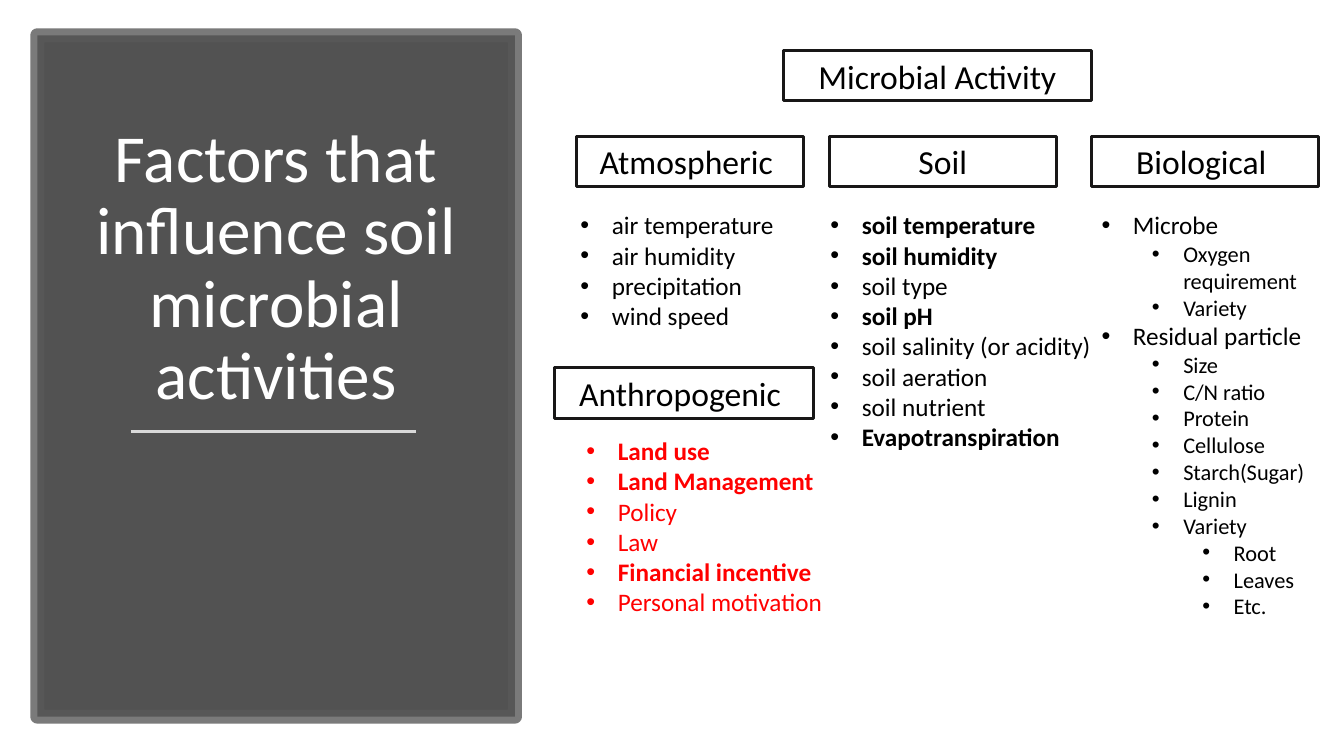
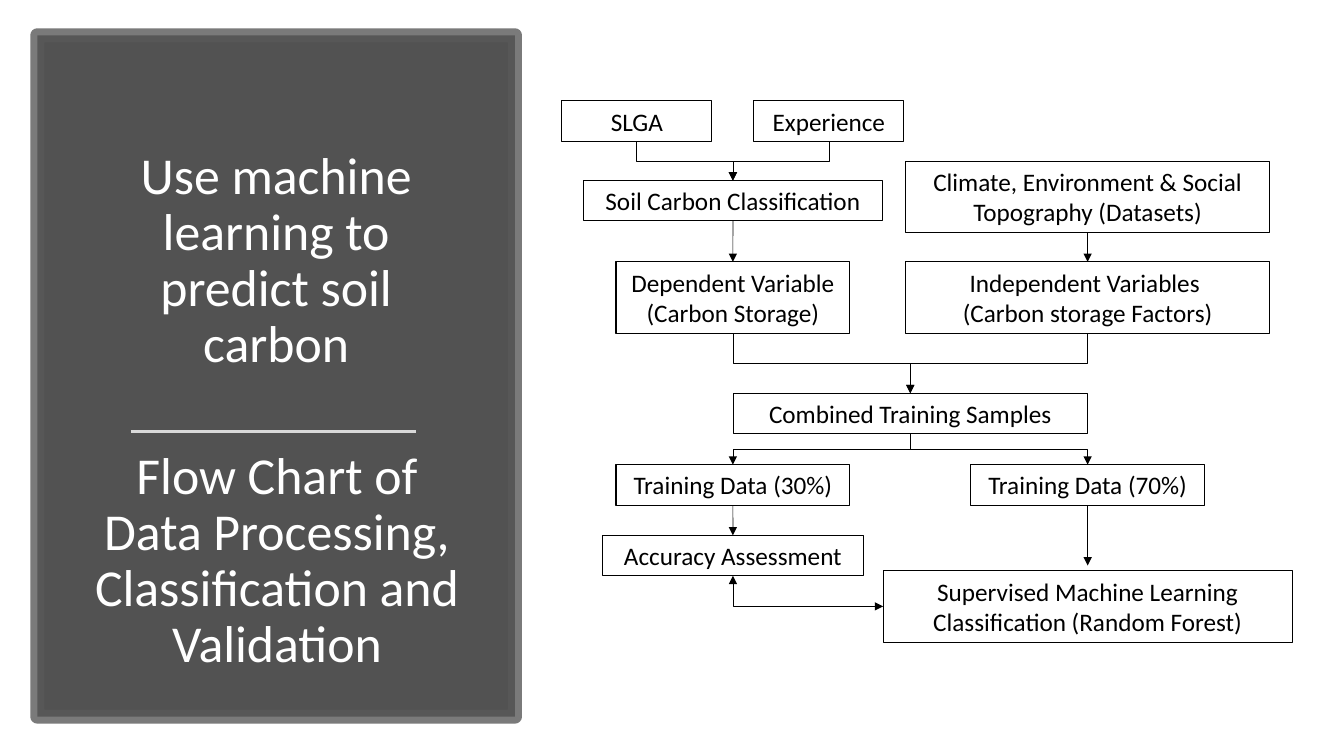
from dataclasses import dataclass

from lxml import etree
from pptx import Presentation
from pptx import util as u
from pptx.dml.color import RGBColor
from pptx.enum import shapes, text
from pptx.oxml import ns

FONT = "Calibri"
COLOURS = {
    "panel": "404040",
    "panel_edge": "595959",
    "rule": "D9D9D9",
    "title": "FFFFFF",
    "heading_edge": "181717",
    "ink": "000000",
    "accent": "FF0000",
}
TOP, LEFT, BOTTOM = 0, 1, 2

# Slide 1 measures, in cm
HEADING_HEIGHT = 1.27
LIST_TOP = 5.16
BULLET_INDENT, LEVEL_STEP = 0.79, 1.27

# Slide 2 measures, in cm
LEFT_COLUMN, RIGHT_COLUMN = 18.47, 27.41
MIDDLE_COLUMN = (LEFT_COLUMN + RIGHT_COLUMN) / 2
SOURCE_OFFSET = 2.42
LINE_HEIGHTS = {1: 1.02, 2: 1.8}


@dataclass(frozen=True)
class Title:
    words: str
    left: float
    top: float
    height: float
    size: int


@dataclass(frozen=True)
class Heading:
    words: str
    left: float
    top: float
    width: float


@dataclass(frozen=True)
class Item:
    words: str
    bold: bool = False
    level: int = 0


@dataclass(frozen=True)
class BulletList:
    left: float
    top: float
    width: float
    height: float
    items: tuple[Item, ...]
    colour: str = "ink"


@dataclass(frozen=True)
class Step:
    name: str
    paragraphs: tuple[str, ...]
    centre: float
    top: float
    width: float
    lines: int = 1


@dataclass(frozen=True)
class Link:
    start: str
    end: str
    preset: str = ""  # empty for a straight arrow
    end_side: int = TOP
    both_heads: bool = False
    gap: float = 0


HEADINGS = (
    Heading("Microbial Activity", 19.74, 1.27, 7.77),
    Heading("Atmospheric ", 14.53, 3.43, 5.72),
    Heading("Soil", 20.9, 3.43, 5.72),
    Heading("Biological ", 27.51, 3.43, 5.72),
    Heading("Anthropogenic ", 13.97, 9.27, 6.53),
)

LISTS = (
    BulletList(20.68, LIST_TOP, 7.19, 7.95, (
        Item("soil temperature", True),
        Item("soil humidity", True),
        Item("soil type"),
        Item("soil pH", True),
        Item("soil salinity (or acidity)"),
        Item("soil aeration"),
        Item("soil nutrient"),
        Item("Evapotranspiration", True),
    )),
    BulletList(14.38, LIST_TOP, 5.72, 4.88, (
        Item("air temperature"),
        Item("air humidity"),
        Item("precipitation"),
        Item("wind speed"),
    )),
    BulletList(27.51, LIST_TOP, 6.2, 12.22, (
        Item("Microbe"),
        Item("Oxygen requirement", level=1),
        Item("Variety", level=1),
        Item("Residual particle"),
        Item("Size", level=1),
        Item("C/N ratio", level=1),
        Item("Protein", level=1),
        Item("Cellulose", level=1),
        Item("Starch(Sugar)", level=1),
        Item("Lignin", level=1),
        Item("Variety", level=1),
        Item("Root", level=2),
        Item("Leaves", level=2),
        Item("Etc.", level=2),
    )),
    BulletList(14.53, 10.85, 6.53, 5.64, (
        Item("Land use", True),
        Item("Land Management", True),
        Item("Policy"),
        Item("Law"),
        Item("Financial incentive", True),
        Item("Personal motivation"),
    ), "accent"),
)

STEPS = (
    Step("slga", ("SLGA",), LEFT_COLUMN - SOURCE_OFFSET, 2.54, 3.78),
    Step("experience", ("Experience",), LEFT_COLUMN + SOURCE_OFFSET, 2.54, 3.78),
    Step("classes", ("Soil Carbon Classification",), LEFT_COLUMN, 4.55, 7.52),
    Step("dependent", ("Dependent Variable (Carbon Storage)",), LEFT_COLUMN, 6.6, 5.89, 2),
    Step("independent", ("Independent Variables ", "(Carbon storage Factors)"),
         RIGHT_COLUMN, 6.6, 9.19, 2),
    Step("datasets", ("Climate, Environment & Social Topography (Datasets)",),
         RIGHT_COLUMN, 4.06, 9.19, 2),
    Step("combined", ("Combined Training Samples",), MIDDLE_COLUMN, 9.91, 8.92),
    Step("data_30", ("Training Data (30%)",), LEFT_COLUMN, 11.71, 5.89),
    Step("data_70", ("Training Data (70%)",), RIGHT_COLUMN, 11.71, 5.89),
    Step("accuracy", ("Accuracy Assessment",), LEFT_COLUMN, 13.49, 6.58),
    Step("forest", ("Supervised Machine Learning Classification (Random Forest)",),
         RIGHT_COLUMN, 14.38, 10.31, 2),
)

FORK = "bentConnector3"
CORNER = "bentConnector2"
LINKS = (
    Link("slga", "classes", FORK),
    Link("experience", "classes", FORK),
    Link("classes", "dependent"),
    Link("datasets", "independent"),
    Link("dependent", "combined", FORK),
    Link("independent", "combined", FORK),
    Link("combined", "data_30", FORK),
    Link("combined", "data_70", FORK),
    Link("data_30", "accuracy"),
    Link("data_70", "forest", gap=0.13),
    Link("accuracy", "forest", CORNER, LEFT, both_heads=True),
)


def rgb(name: str) -> RGBColor:
    return RGBColor.from_string(COLOURS[name])


def add_span(para, words: str, size: int, colour: str, bold: bool = False) -> None:
    span = para.add_run()
    span.text = words
    span.font.name = FONT
    span.font.size = u.Pt(size)
    span.font.bold = bold
    span.font.color.rgb = rgb(colour)


def next_para(frame, index: int):
    return frame.add_paragraph() if index else frame.paragraphs[0]


def set_opacity(fill_parent, percent: int) -> None:
    colour = fill_parent.find(f"{ns.qn('a:solidFill')}/{ns.qn('a:srgbClr')}")
    etree.SubElement(colour, ns.qn("a:alpha"), val=str(percent * 1000))


def add_rectangle(page, left: float, top: float, width: float, height: float,
                  edge: str, weight: float):
    box = page.shapes.add_shape(shapes.MSO_SHAPE.RECTANGLE, u.Cm(left), u.Cm(top),
                                u.Cm(width), u.Cm(height))
    box.shadow.inherit = False
    box.fill.background()
    box.line.color.rgb = rgb(edge)
    box.line.width = u.Pt(weight)
    return box


def add_label(box, paragraphs: tuple[str, ...], size: int) -> None:
    box.text_frame.word_wrap = True
    for index, words in enumerate(paragraphs):
        para = next_para(box.text_frame, index)
        para.alignment = text.PP_ALIGN.CENTER
        add_span(para, words, size, "ink")


def style_connector(line, colour: str, weight: float) -> None:
    line.line.color.rgb = rgb(colour)
    line.line.width = u.Pt(weight)
    etree.SubElement(line._element.spPr, ns.qn("a:effectLst"))


def add_title(page, title: Title) -> None:
    box = page.shapes.add_textbox(u.Cm(title.left), u.Cm(title.top),
                                  u.Cm(10.16), u.Cm(title.height))
    box.text_frame.word_wrap = True
    box.text_frame.vertical_anchor = text.MSO_ANCHOR.BOTTOM
    para = box.text_frame.paragraphs[0]
    para.alignment = text.PP_ALIGN.CENTER
    para.line_spacing = 0.9
    add_span(para, title.words, title.size, "title")


def add_page(deck, *titles: Title):
    """Add a blank page with the dark side panel, its titles and its rule."""
    page = deck.slides.add_slide(deck.slide_layouts[6])
    panel = add_rectangle(page, 0.94, 0.89, 12.04, 17.17, "panel_edge", 10)
    panel.fill.solid()
    panel.fill.fore_color.rgb = rgb("panel")
    properties = panel._element.spPr
    set_opacity(properties, 90)
    set_opacity(properties.find(ns.qn("a:ln")), 80)
    for title in titles:
        add_title(page, title)
    rule = page.shapes.add_connector(shapes.MSO_CONNECTOR.STRAIGHT, u.Cm(3.3), u.Cm(10.87),
                                     u.Cm(10.49), u.Cm(10.87))
    style_connector(rule, "rule", 1.75)
    return page


def add_bullets(page, bullets: BulletList) -> None:
    box = page.shapes.add_textbox(u.Cm(bullets.left), u.Cm(bullets.top),
                                  u.Cm(bullets.width), u.Cm(bullets.height))
    box.text_frame.word_wrap = True
    for index, item in enumerate(bullets.items):
        para = next_para(box.text_frame, index)
        para.level = item.level
        properties = para._p.get_or_add_pPr()
        properties.set("marL", str(u.Cm(BULLET_INDENT + item.level * LEVEL_STEP)))
        properties.set("indent", str(-u.Cm(BULLET_INDENT)))
        etree.SubElement(properties, ns.qn("a:buFont"), typeface="Arial")
        etree.SubElement(properties, ns.qn("a:buChar"), char="•")
        add_span(para, item.words, 16 if item.level else 18, bullets.colour, item.bold)


def turn_elbow(line, preset: str) -> None:
    """Make an elbow leave downwards: a quarter turn about its centre."""
    left, top, width, height = line.left, line.top, line.width, line.height
    to_right = line.begin_x < line.end_x
    line.left = left + (width - height) // 2
    line.top = top + (height - width) // 2
    line.width, line.height = height, width
    properties = line._element.spPr
    frame = properties.find(ns.qn("a:xfrm"))
    frame.set("rot", str((270 if to_right else 90) * 60000))
    frame.set("flipH", "1" if to_right else "0")
    properties.find(ns.qn("a:prstGeom")).set("prst", preset)


def add_link(page, link: Link, boxes: dict) -> None:
    kinds = shapes.MSO_CONNECTOR
    line = page.shapes.add_connector(kinds.ELBOW if link.preset else kinds.STRAIGHT, 0, 0, 0, 0)
    line.begin_connect(boxes[link.start], BOTTOM)
    if link.gap:
        line.end_x = line.begin_x
        line.end_y = boxes[link.end].top - u.Cm(link.gap)
    else:
        line.end_connect(boxes[link.end], link.end_side)
    if link.preset:
        turn_elbow(line, link.preset)
    style_connector(line, "ink", 0.5)
    for tag in ("a:headEnd", "a:tailEnd") if link.both_heads else ("a:tailEnd",):
        etree.SubElement(line._element.spPr.find(ns.qn("a:ln")), ns.qn(tag), type="triangle")


def add_factors_page(deck) -> None:
    page = add_page(deck, Title("Factors that influence soil microbial activities",
                                1.88, 2.54, 8.03, 48))
    for heading in HEADINGS:
        box = add_rectangle(page, heading.left, heading.top, heading.width,
                            HEADING_HEIGHT, "heading_edge", 2.25)
        add_label(box, (heading.words,), 24)
    for bullets in LISTS:
        add_bullets(page, bullets)


def add_flow_page(deck) -> None:
    page = add_page(
        deck,
        Title("Use machine learning to predict soil carbon", 1.88, 3.15, 6.38, 37),
        Title("Flow Chart of Data Processing, Classification and Validation",
              1.9, 9.07, 8.03, 37))
    boxes = {}
    for step in STEPS:
        box = add_rectangle(page, step.centre - step.width / 2, step.top, step.width,
                            LINE_HEIGHTS[step.lines], "ink", 0.75)
        add_label(box, step.paragraphs, 18)
        boxes[step.name] = box
    for link in LINKS:
        add_link(page, link, boxes)


def main() -> None:
    deck = Presentation()
    deck.slide_width, deck.slide_height = u.Cm(33.87), u.Cm(19.05)
    add_factors_page(deck)
    add_flow_page(deck)
    deck.save("out.pptx")


if __name__ == "__main__":
    main()
